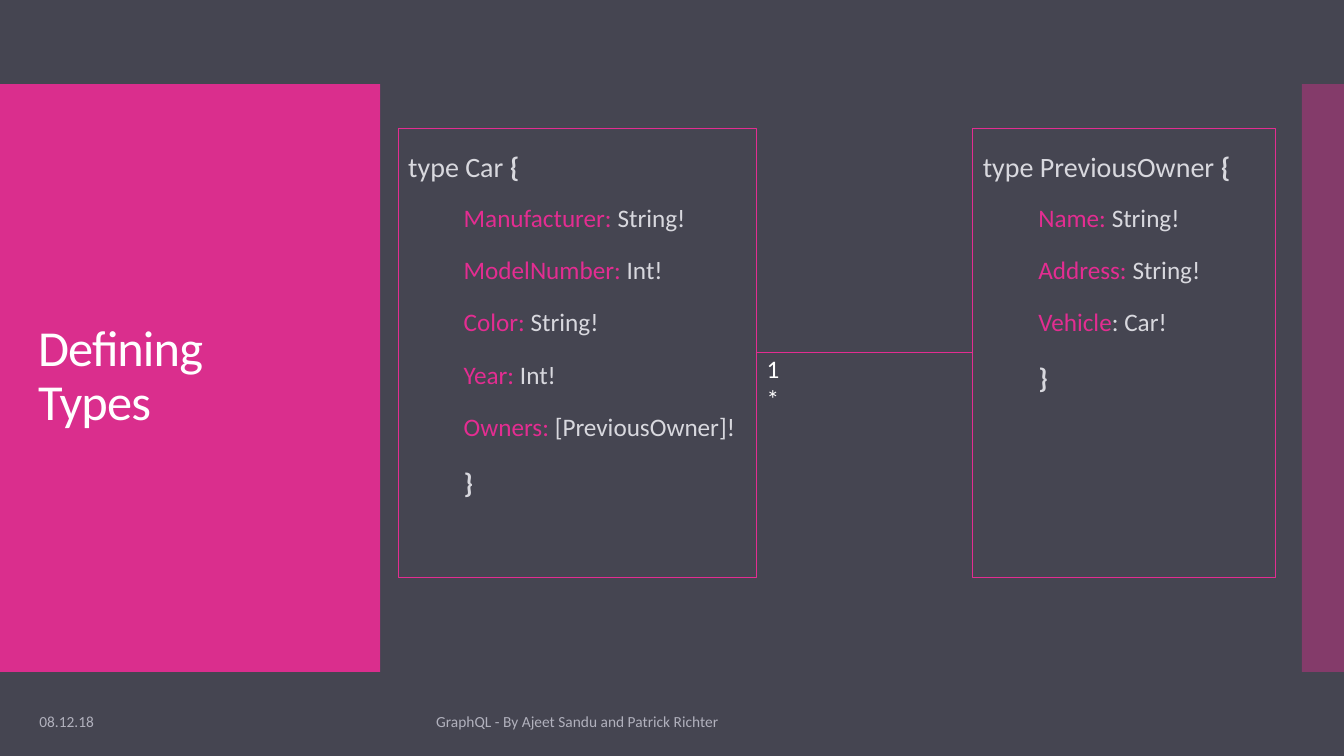
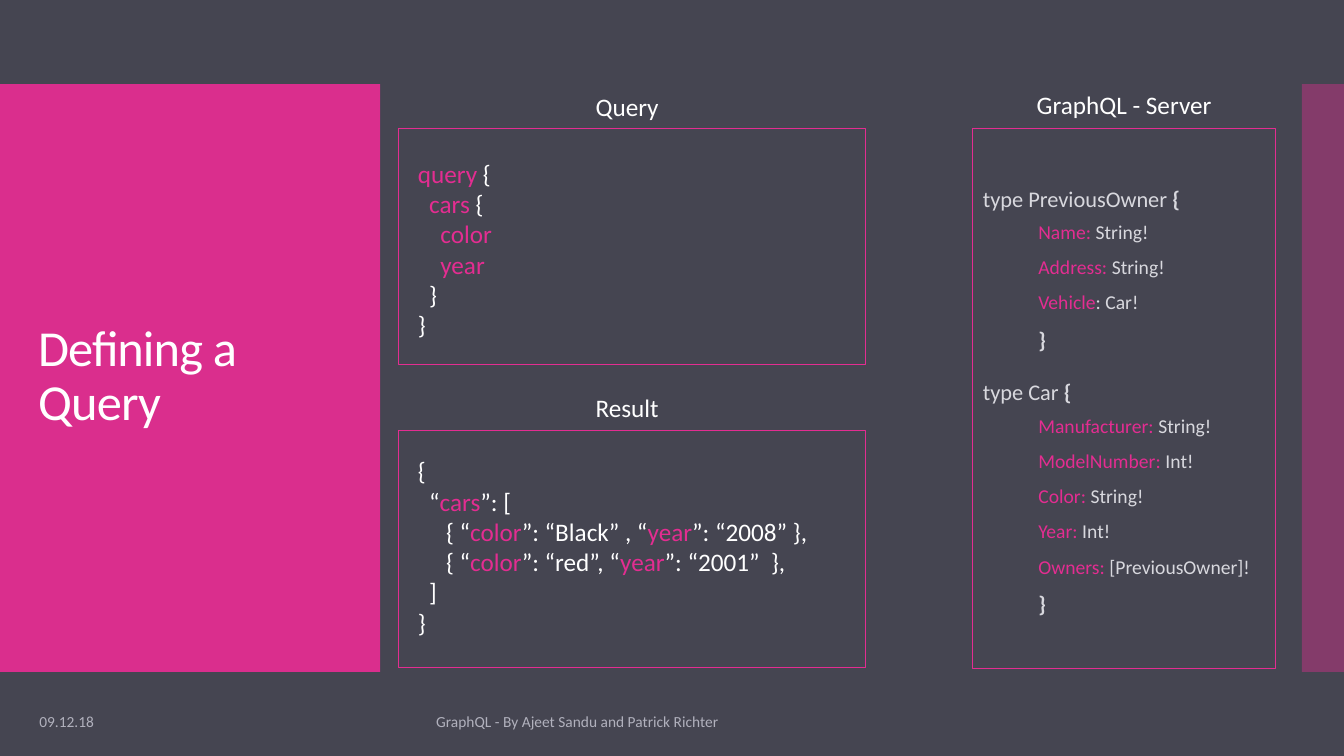
from pptx import Presentation
from pptx.util import Pt
from pptx.dml.color import RGBColor
from pptx.enum import shapes, text
from pptx.oxml import ns
from lxml import etree

FONT = "Calibri"
COLORS = {name: RGBColor.from_string(code) for name, code in {
    "back": "454551", "pink": "E32D91", "white": "FFFFFF",
    "soft": "D8D8DE", "footer": "B1B1BD"}.items()}
FOOTER = "GraphQL - By Ajeet Sandu and Patrick Richter"
FIELD_INDENT = 39.6

# Shared columns and edges
LEFT, TOP, LINE_Y = 284.5, 91.5, 252
CAR_WIDTH, TYPE_HEIGHT = 256, 321
OWNER_LEFT, OWNER_WIDTH = 695, 216
CODE_WIDTH, CODE_HEIGHT = 333.5, 169

# Each line is (indent, text); bars switch between plain and pink
OWNER = [(0, "type PreviousOwner {"), (FIELD_INDENT, "|Name: |String!"),
         (FIELD_INDENT, "|Address: |String!"), (FIELD_INDENT, "|Vehicle|: Car!"),
         (FIELD_INDENT, "}")]
CAR = [(0, "type Car {"), (FIELD_INDENT, "|Manufacturer: |String!"),
       (FIELD_INDENT, "|ModelNumber: |Int!"), (FIELD_INDENT, "|Color: |String!"),
       (FIELD_INDENT, "|Year: |Int!"), (FIELD_INDENT, "|Owners: |[PreviousOwner]!"),
       (FIELD_INDENT, "}")]
QUERY = [(0, "|query| {"), (8, "|cars| {"), (16, "|color"), (16, "|year"),
         (8, "}"), (0, "}")]
RESULT = [(0, "{"), (8, "“|cars|”: ["),
          (20, "{ “|color|”: “Black” , “|year|”: “2008” },"),
          (20, "{ “|color|”: “red”, “|year|”: “2001”  },"),
          (8, "]"), (0, "}")]


def add_text(page, place, lines, size=18, color="white", align="LEFT", anchor="TOP"):
    box = page.shapes.add_textbox(*map(Pt, place))
    frame = box.text_frame
    frame.word_wrap = True
    frame.vertical_anchor = text.MSO_ANCHOR[anchor]
    for number, (indent, line) in enumerate(lines):
        para = frame.add_paragraph() if number else frame.paragraphs[0]
        para.alignment = text.PP_ALIGN[align]
        para._p.get_or_add_pPr().set("marL", str(Pt(indent)))
        for part, words in enumerate(line.split("|")):
            if words:
                span = para.add_run()
                span.text = words
                span.font.name, span.font.size = FONT, Pt(size)
                span.font.color.rgb = COLORS["pink" if part % 2 else color]
    return box


def add_frame(page, place, lines=(), size=20, spacing=1.5, anchor="TOP"):
    box = add_text(page, place, lines, size, "soft", anchor=anchor)
    box.line.color.rgb = COLORS["pink"]
    box.line.width = Pt(0.75)
    for para in box.text_frame.paragraphs if lines else ():
        para.line_spacing = spacing
        if para.text.startswith("type"):
            # Bold brace after the type name
            para.space_before = Pt(12)
            name = para.runs[0]
            name.text = name.text[:-1]
            brace = para.add_run()
            brace.text = "{"
            brace.font.name, brace.font.size, brace.font.bold = FONT, Pt(size), True
            brace.font.color.rgb = COLORS["soft"]
        else:
            para.space_before = para.space_after = Pt(2.5)
            for span in para.runs:
                span.font.bold = para.text == "}"
                span.font.size = Pt(size if para.text == "}" else size - 2)


deck = Presentation()
deck.slide_width, deck.slide_height = Pt(960), Pt(540)
background = deck.slide_master.background.fill
background.solid()
background.fore_color.rgb = COLORS["back"]

# Bands, title and footer of every slide
pages = []
for heading, date in [("Defining\vTypes", "08.12.18"), ("Defining a\vQuery", "09.12.18")]:
    page = deck.slides.add_slide(deck.slide_layouts[5])
    pages.append(page)
    for left, width, opacity in [(0, 271.5, 95), (930, 30, 40)]:
        band = page.shapes.add_shape(shapes.MSO_SHAPE.RECTANGLE,
                                     Pt(left), Pt(60), Pt(width), Pt(420))
        band.shadow.inherit = False
        band.fill.solid()
        band.fill.fore_color.rgb = COLORS["pink"]
        band.line.fill.background()
        tint = band._element.spPr.find(".//" + ns.qn("a:srgbClr"))
        etree.SubElement(tint, ns.qn("a:alpha")).set("val", str(opacity * 1000))

    title = page.shapes.title
    page.shapes._spTree.append(title._element)  # in front of the bands
    title.left, title.top, title.width, title.height = map(Pt, (20, 88.5, 232, 362))
    frame = title.text_frame
    frame.text = heading
    frame.auto_size = text.MSO_AUTO_SIZE.NONE
    frame.vertical_anchor = text.MSO_ANCHOR.MIDDLE
    para = frame.paragraphs[0]
    para.alignment = text.PP_ALIGN.LEFT
    para.line_spacing = 0.9
    for span in para.runs:
        span.font.name, span.font.size = FONT, Pt(36)
        span.font.color.rgb = COLORS["white"]
        span._r.get_or_add_rPr().set("spc", "-60")

    for left, width, words in [(21, 216, date), (304.5, 465, FOOTER)]:
        add_text(page, (left, 500.5, width, 29), [(0, words)], 11, "footer", anchor="MIDDLE")

types_page, query_page = pages

# Types and their relation
add_frame(types_page, (LEFT, TOP, CAR_WIDTH, TYPE_HEIGHT), CAR)
add_frame(types_page, (OWNER_LEFT, TOP, OWNER_WIDTH, TYPE_HEIGHT), OWNER)
car_right = LEFT + CAR_WIDTH
relation = types_page.shapes.add_connector(
    shapes.MSO_CONNECTOR.STRAIGHT, Pt(car_right), Pt(LINE_Y), Pt(OWNER_LEFT), Pt(LINE_Y))
relation.line.color.rgb = COLORS["pink"]
relation.line.width = Pt(0.75)
etree.SubElement(relation._element.spPr, ns.qn("a:effectLst"))
add_text(types_page, (car_right, 248.5, OWNER_LEFT - car_right, 51), [(0, "1"), (0, "*")])

# Query and result
for name, name_top, top, code_top, code in [("Query", 62, TOP, 109.5, QUERY),
                                            ("Result", 276.5, 307.5, 322, RESULT)]:
    add_text(query_page, (278, name_top, 340, 29), [(0, name)], align="CENTER")
    add_frame(query_page, (LEFT, top, CODE_WIDTH, CODE_HEIGHT))
    add_text(query_page, (291.5, code_top, 317.5, 139), code)

# Server schema
add_text(query_page, (OWNER_LEFT, 60, OWNER_WIDTH, 29), [(0, "GraphQL - Server")], align="CENTER")
add_frame(query_page, (OWNER_LEFT, TOP, OWNER_WIDTH, 386), OWNER + CAR, 16, 1.2, "MIDDLE")

deck.save("out.pptx")
